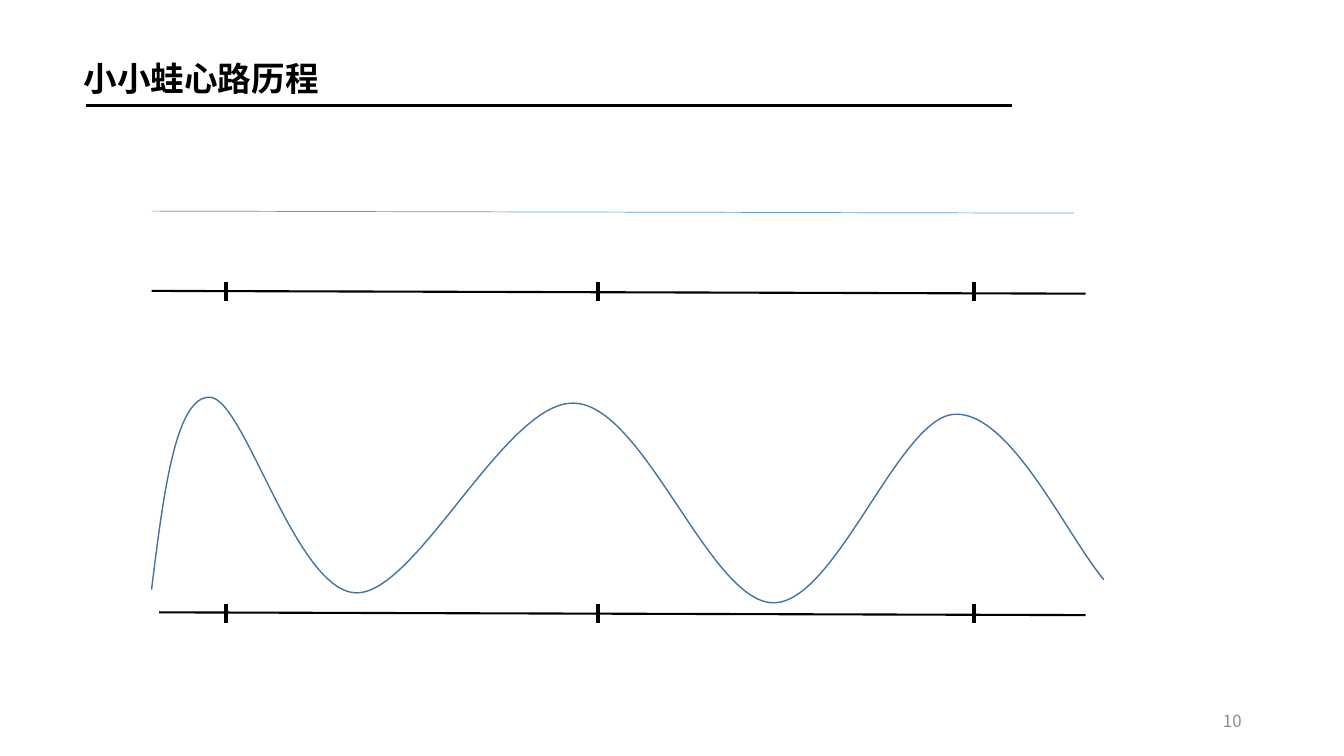
from lxml import etree
from pptx import Presentation
from pptx import util as u
from pptx.dml.color import RGBColor
from pptx.enum import shapes, text
from pptx.oxml.ns import qn

BLACK = RGBColor(0x00, 0x00, 0x00)
GREY = RGBColor(0x8C, 0x8C, 0x8C)
LIGHT_BLUE = RGBColor(0x5B, 0x9B, 0xD5)
DEEP_BLUE = RGBColor(0x43, 0x73, 0x9E)

# Tick distances from the right end of a timeline, in cm
TICKS = (21.67, 12.28, 2.82)

# Mood wave in cm from its box corner: start, then control, control, end
WAVE_START = (0, 4.85)
WAVE_CURVES = [
    ((0.30, 2.41), (0.61, -0.03), (1.47, 0)),
    ((2.34, 0.02), (3.63, 4.90), (5.16, 4.93)),
    ((6.68, 4.95), (8.92, 0.10), (10.64, 0.15)),
    ((12.40, 0.18), (14.05, 5.13), (15.65, 5.18)),
    ((17.22, 5.23), (18.82, 0.53), (20.22, 0.43)),
    ((21.62, 0.33), (23.04, 3.45), (24.00, 4.60)),
]


def add_line(page, start, end, color, weight):
    """Draw a straight line between two points given in cm."""
    points = [u.Cm(value) for value in (*start, *end)]
    line = page.shapes.add_connector(shapes.MSO_CONNECTOR.STRAIGHT, *points)
    line.line.color.rgb = color
    line.line.width = u.Pt(weight)
    etree.SubElement(line._element.spPr, qn("a:effectLst"))


def add_heading(page, left, top, width, height):
    """Title with the rule beneath it."""
    title = page.shapes.title
    title.left, title.top = u.Cm(left), u.Cm(top)
    title.width, title.height = u.Cm(width), u.Cm(height)
    frame = title.text_frame
    frame.word_wrap = False
    frame.auto_size = text.MSO_AUTO_SIZE.NONE
    frame.vertical_anchor = text.MSO_ANCHOR.TOP
    frame.text = "小小蛙心路历程"
    para = frame.paragraphs[0]
    para.alignment = text.PP_ALIGN.LEFT
    para.line_spacing = 1.5
    para.font.name = "Calibri"
    para.font.size = u.Pt(24)
    para.font.bold = True
    para.font.color.rgb = BLACK
    rule_y = top + height + 0.15
    add_line(page, (left + 0.31, rule_y), (left + 23.65, rule_y), BLACK, 2.25)


def add_timeline(page, left, top, width, height):
    """Nearly level axis with evenly styled ticks."""
    right, middle = left + width, top + height / 2
    add_line(page, (left, middle - 0.02), (right, middle + 0.05), BLACK, 1.5)
    for offset in TICKS:
        tick_x = right - offset
        add_line(page, (tick_x, top), (tick_x, top + height), BLACK, 3)


def add_wave(page, left, top):
    """Open curve of rising and falling mood."""
    builder = page.shapes.build_freeform(
        u.Cm(left + WAVE_START[0]), u.Cm(top + WAVE_START[1])
    )
    ends = [curve[-1] for curve in WAVE_CURVES]
    builder.add_line_segments(
        [(u.Cm(left + x), u.Cm(top + y)) for x, y in ends], close=False
    )
    wave = builder.convert_to_shape()
    wave.shadow.inherit = False
    wave.fill.background()
    wave.line.color.rgb = DEEP_BLUE
    wave.line.width = u.Pt(1)

    # Turn each straight segment into a cubic curve
    segments = list(wave._element.spPr.iter(qn("a:lnTo")))
    for segment, curve in zip(segments, WAVE_CURVES):
        segment.tag = qn("a:cubicBezTo")
        for position, (x, y) in enumerate(curve[:-1]):
            control = etree.Element(qn("a:pt"), x=str(u.Cm(x)), y=str(u.Cm(y)))
            segment.insert(position, control)


def add_page_number(page, left, top, width, height):
    box = page.shapes.add_textbox(u.Cm(left), u.Cm(top), u.Cm(width), u.Cm(height))
    frame = box.text_frame
    frame.word_wrap = True
    frame.vertical_anchor = text.MSO_ANCHOR.MIDDLE
    frame.text = "10"
    para = frame.paragraphs[0]
    para.alignment = text.PP_ALIGN.RIGHT
    para.font.name = "Noto Sans CJK SC"
    para.font.size = u.Pt(12)
    para.font.color.rgb = GREY


def main():
    deck = Presentation()
    deck.slide_width, deck.slide_height = u.Cm(33.87), u.Cm(19.05)
    page = deck.slides.add_slide(deck.slide_layouts.get_by_name("Title Only"))

    add_heading(page, 1.85, 0.83, 6.53, 1.68)
    # Flat mood above the first timeline
    add_line(page, (3.82, 5.32), (27.06, 5.37), LIGHT_BLUE, 0.5)
    add_timeline(page, 3.82, 7.11, 23.54, 0.48)
    # Changing mood above the second timeline
    add_wave(page, 3.82, 10.01)
    add_timeline(page, 4.01, 15.21, 23.35, 0.48)
    add_page_number(page, 23.92, 17.65, 7.62, 1.02)

    deck.save("out.pptx")


if __name__ == "__main__":
    main()
